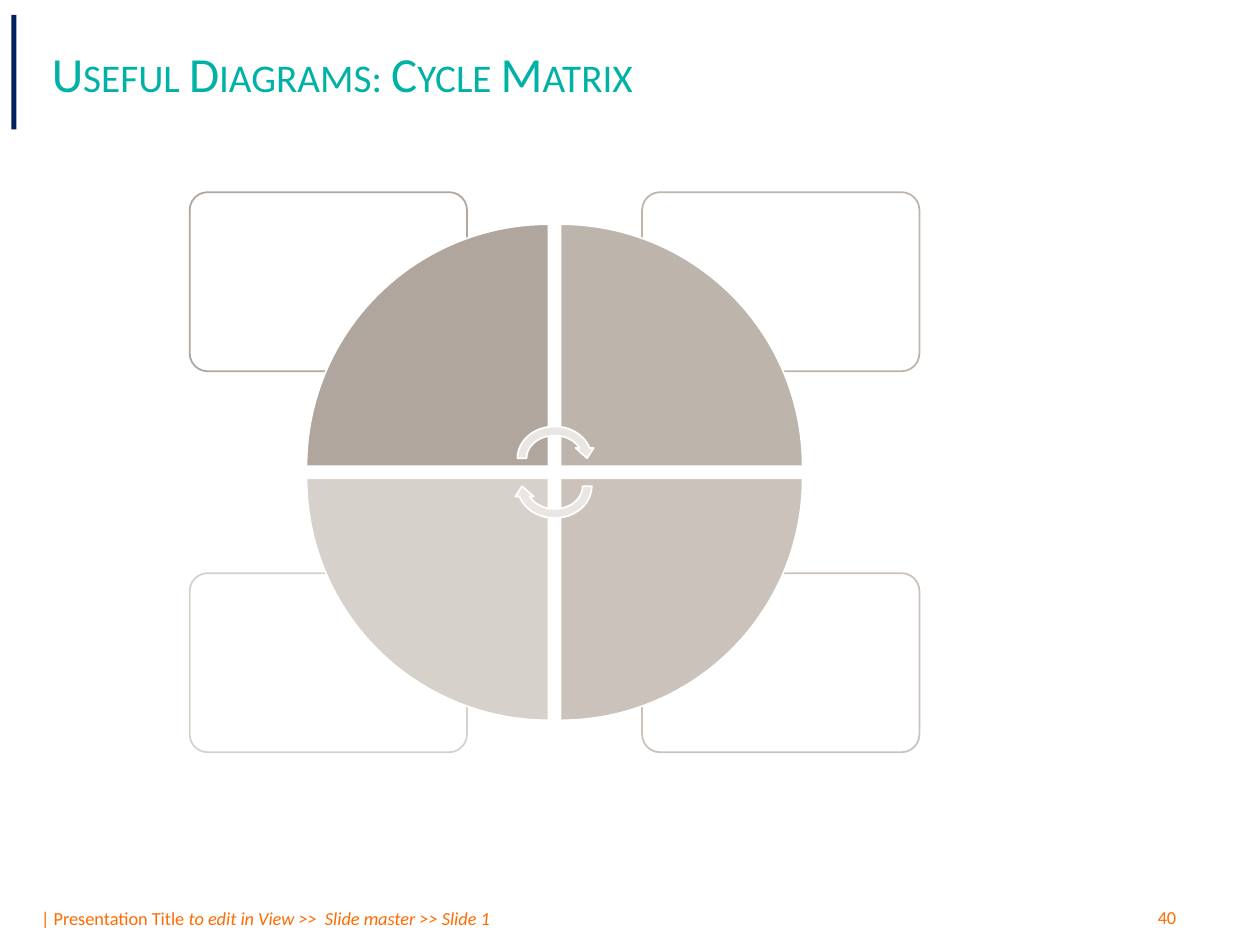
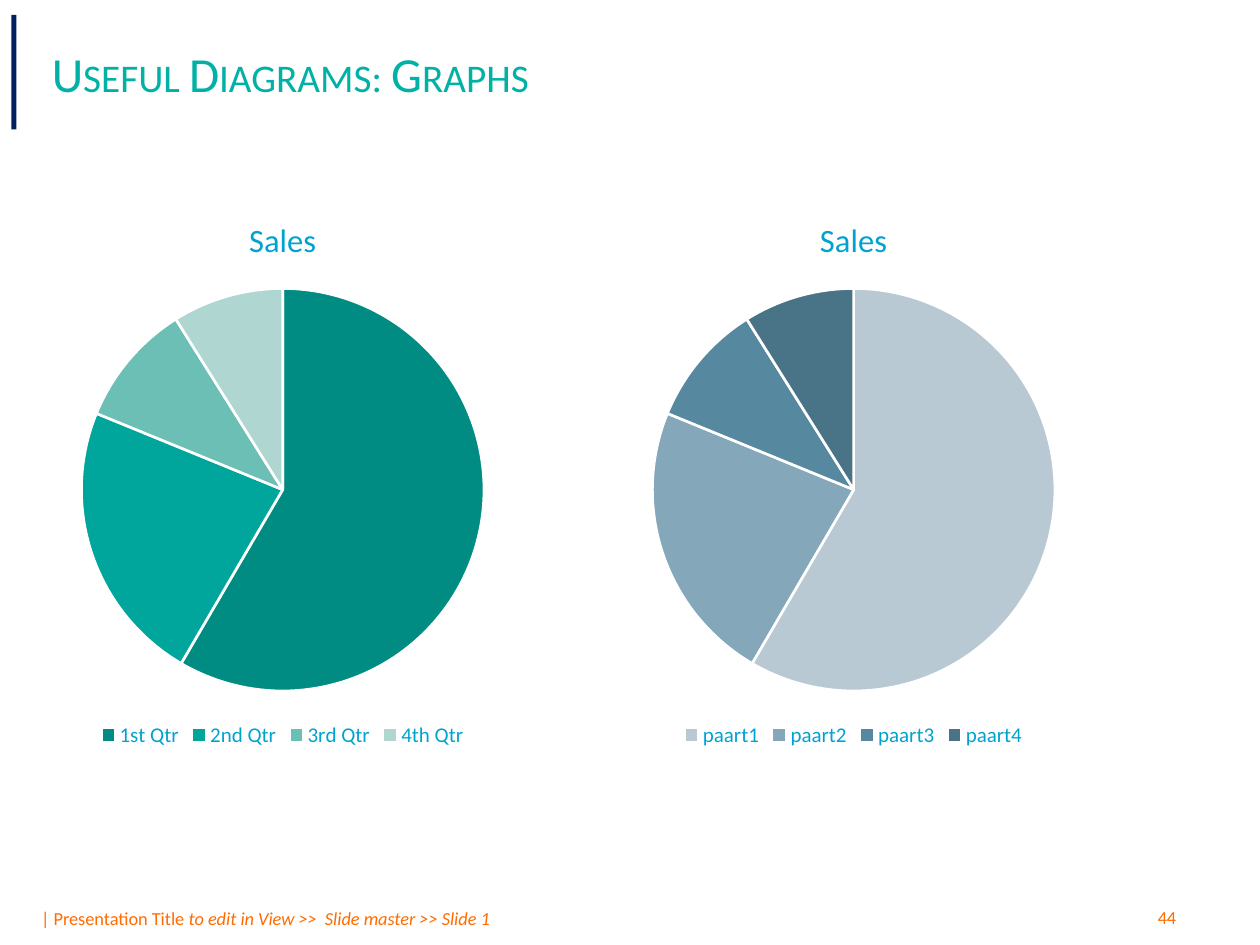
import pptx
import pptx.chart.data
import pptx.dml.color
import pptx.enum.chart
import pptx.enum.shapes
import pptx.enum.text
import pptx.oxml
import pptx.oxml.ns
import pptx.util

Cm = pptx.util.Cm
Pt = pptx.util.Pt
SHAPES = pptx.enum.shapes.MSO_SHAPE

# Content
FOOTER = [("| Presentation Title ", False),
          ("to edit in View >>  Slide master >> Slide 1", True)]
MATRIX = {"title": "Useful Diagrams: Cycle Matrix", "number": "40"}
GRAPHS = {"title": "Useful Diagrams: Graphs", "number": "44"}
SALES = ("Sales", (59, 23, 10, 9))
PIES = [
    {"left": -2.77, "parts": ("1st Qtr", "2nd Qtr", "3rd Qtr", "4th Qtr"),
     "colours": ("quarter1", "quarter2", "quarter3", "quarter4")},
    {"left": 8.74, "parts": ("paart1", "paart2", "paart3", "paart4"),
     "colours": ("part1", "part2", "part3", "part4")},
]
# Clockwise from top left: colour, horizontal side, vertical side
QUADRANTS = [("sand1", -1, -1), ("sand2", 1, -1), ("sand3", 1, 1), ("sand4", -1, 1)]

# Look
COLOURS = {
    "white": "FFFFFF", "bar": "002060", "title": "00B1A5", "footer": "FF6B00",
    "chart": "00242E", "label": "00A3D0", "arrow": "E9E6E3",
    "sand1": "B0A69D", "sand2": "BDB4AC", "sand3": "CAC2BB", "sand4": "D7D1CB",
    "quarter1": "008C82", "quarter2": "00A69B", "quarter3": "6CBFB5", "quarter4": "AFD6D1",
    "part1": "B9C9D4", "part2": "85A7BA", "part3": "5689A0", "part4": "497387",
}
TITLE_FONT = {"name": "Calibri", "size": Pt(28), "bold": False}
FOOTER_FONT = {"name": "Calibri", "size": Pt(10.5)}
CHART_FONT = {"name": "Calibri", "size": Pt(10)}
LEGEND_FONT = {"name": "Calibri", "size": Pt(12)}
CHART_TITLE_FONT = {"name": "Calibri", "size": Pt(18.6), "bold": False}

# Cycle matrix geometry in cm: sizes, and distances of part centres from the hub
HUB_X, HUB_Y = 11.18, 9.52
WEDGE, WEDGE_OFFSET = 4.88, 2.56
CARD_W, CARD_H = 5.59, 3.61
CARD_DX, CARD_DY = 4.56, 3.84
ARROW_W, ARROW_H, ARROW_DY = 1.68, 1.47, 0.28


def rgb(colour):
    return pptx.dml.color.RGBColor.from_string(COLOURS[colour])


def style_font(font, values, colour):
    for attribute, value in values.items():
        setattr(font, attribute, value)
    font.color.rgb = rgb(colour)


def add_filled(slide, kind, box, fill, line=None):
    shape = slide.shapes.add_shape(kind, *map(Cm, box))
    shape.shadow.inherit = False
    shape.fill.solid()
    shape.fill.fore_color.rgb = rgb(fill)
    if line:
        shape.line.color.rgb = rgb(line)
        shape.line.width = Pt(1)
    else:
        shape.line.fill.background()
    return shape


def add_around_hub(slide, kind, dx, dy, width, height, fill, line):
    box = (HUB_X + dx - width / 2, HUB_Y + dy - height / 2, width, height)
    return add_filled(slide, kind, box, fill, line)


def add_footer_text(slide, box, pieces):
    frame = slide.shapes.add_textbox(*map(Cm, box)).text_frame
    frame.word_wrap = True
    for text, italic in pieces:
        run = frame.paragraphs[0].add_run()
        run.text = text
        style_font(run.font, FOOTER_FONT, "footer")
        if italic:
            run.font.italic = True


def add_base_slide(deck, content):
    """Add a slide with the shared footer, side bar and title."""
    slide = deck.slides.add_slide(deck.slide_layouts[5])
    add_footer_text(slide, (0.58, 18.16, 20.83, 0.71), FOOTER)
    add_footer_text(slide, (23.09, 18.14, 2.03, 0.71), [(content["number"], False)])
    add_filled(slide, SHAPES.RECTANGLE, (0.23, 0.3, 0.1, 2.31), "bar")

    title = slide.shapes.title
    title.left, title.top, title.width, title.height = map(Cm, (0.79, 0.62, 19.48, 1.68))
    frame = title.text_frame
    frame.vertical_anchor = pptx.enum.text.MSO_ANCHOR.MIDDLE
    paragraph = frame.paragraphs[0]
    paragraph.alignment = pptx.enum.text.PP_ALIGN.LEFT
    run = paragraph.add_run()
    run.text = content["title"]
    style_font(run.font, TITLE_FONT, "title")
    run.font._element.set("cap", "small")
    return slide


def set_opacity(shape, percent):
    colour = shape.fill._xPr.find(".//" + pptx.oxml.ns.qn("a:srgbClr"))
    alpha = pptx.oxml.parse_xml(
        f'<a:alpha {pptx.oxml.ns.nsdecls("a")} val="{percent * 1000}"/>')
    colour.append(alpha)


def build_cycle_matrix(deck):
    slide = add_base_slide(deck, MATRIX)

    # Outlined cards behind the circle
    for colour, x_side, y_side in QUADRANTS:
        card = add_around_hub(slide, SHAPES.ROUNDED_RECTANGLE, x_side * CARD_DX,
                              y_side * CARD_DY, CARD_W, CARD_H, "white", colour)
        card.adjustments[0] = 0.1
        set_opacity(card, 90)

    # Quarter wedges, each turned a further 90 degrees
    for turn, (colour, x_side, y_side) in enumerate(QUADRANTS):
        wedge = add_around_hub(slide, SHAPES.PIE_WEDGE, x_side * WEDGE_OFFSET,
                               y_side * WEDGE_OFFSET, WEDGE, WEDGE, colour, "white")
        wedge.rotation = turn * 90

    # Rotation arrows at the hub
    for y_side, angle in ((-1, 0), (1, 180)):
        arrow = add_around_hub(slide, SHAPES.CIRCULAR_ARROW, 0, y_side * ARROW_DY,
                               ARROW_W, ARROW_H, "arrow", "white")
        arrow.rotation = angle


def add_pie(slide, pie):
    name, values = SALES
    data = pptx.chart.data.CategoryChartData()
    data.categories = pie["parts"]
    data.add_series(name, values)
    chart = slide.shapes.add_chart(
        pptx.enum.chart.XL_CHART_TYPE.PIE,
        Cm(pie["left"]), Cm(3.89), Cm(16.94), Cm(11.28), data).chart
    style_font(chart.font, CHART_FONT, "chart")

    # Title and legend
    chart.has_title = True
    heading = chart.chart_title.text_frame.paragraphs[0].add_run()
    heading.text = name
    style_font(heading.font, CHART_TITLE_FONT, "label")
    chart.chart_title.include_in_layout = False
    chart.has_legend = True
    chart.legend.position = pptx.enum.chart.XL_LEGEND_POSITION.BOTTOM
    chart.legend.include_in_layout = False
    style_font(chart.legend.font, LEGEND_FONT, "label")

    # Slices
    plot = chart.plots[0]
    plot.vary_by_categories = True
    for index, colour in enumerate(pie["colours"]):
        slice_format = plot.series[0].points[index].format
        slice_format.fill.solid()
        slice_format.fill.fore_color.rgb = rgb(colour)
        slice_format.line.color.rgb = rgb("white")
        slice_format.line.width = Pt(1.5)


def build_graphs(deck):
    slide = add_base_slide(deck, GRAPHS)
    for pie in PIES:
        add_pie(slide, pie)


def main():
    deck = pptx.Presentation()
    deck.slide_width, deck.slide_height = Cm(25.4), Cm(19.05)
    build_cycle_matrix(deck)
    build_graphs(deck)
    deck.save("out.pptx")


if __name__ == "__main__":
    main()
